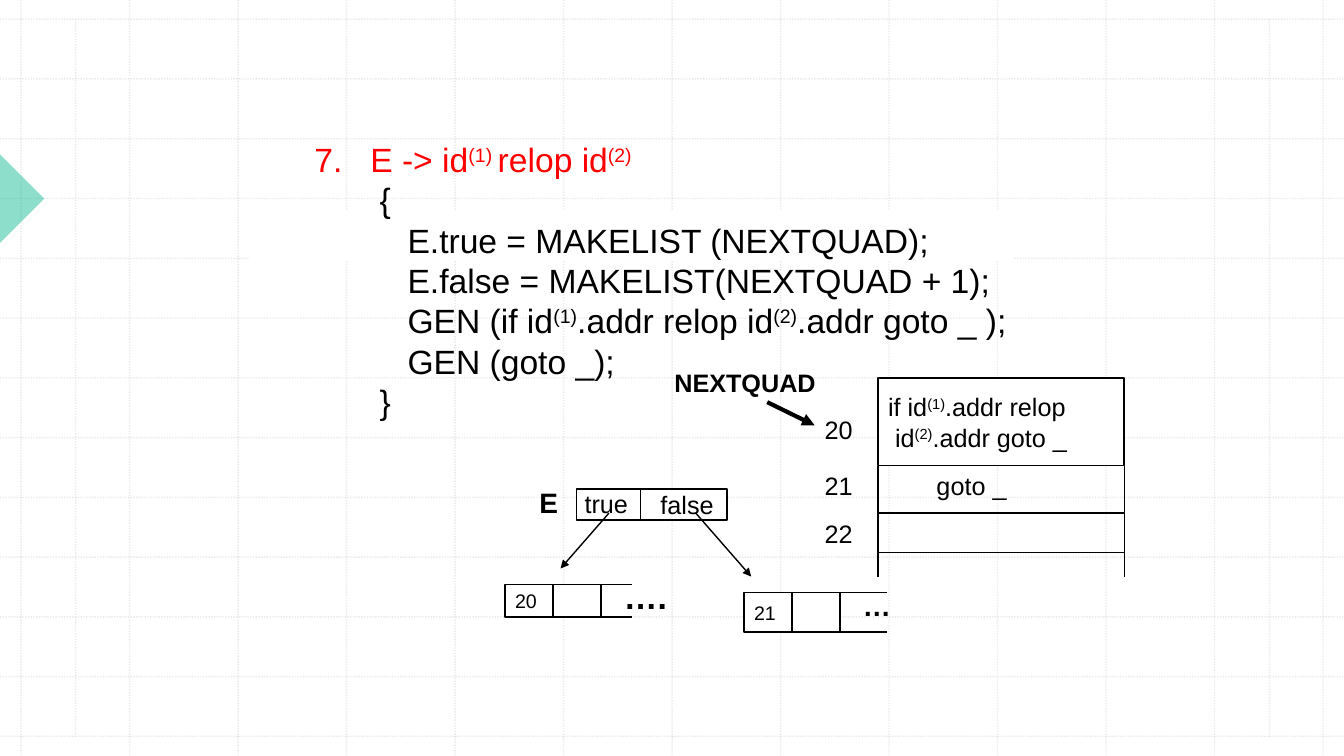
from dataclasses import dataclass

from lxml import etree
from pptx import Presentation
from pptx.dml.color import RGBColor
from pptx.enum import dml, shapes, text
from pptx.oxml import ns
from pptx.util import Inches, Pt


@dataclass(frozen=True)
class Theme:
    font: str = "Arial"
    ink: RGBColor = RGBColor(0, 0, 0)
    paper: RGBColor = RGBColor(255, 255, 255)
    rule: RGBColor = RGBColor(255, 0, 0)
    grid: RGBColor = RGBColor(0xBC, 0xBC, 0xBC)
    accent: RGBColor = RGBColor(0x1E, 0xBE, 0x9B)
    large: int = 24
    medium: int = 20
    normal: int = 18
    small: int = 14


theme = Theme()


def add_line(start, end, color=theme.ink, width=1, arrow=False):
    line = slide.shapes.add_connector(
        shapes.MSO_CONNECTOR.STRAIGHT, *map(Inches, start + end))
    line.line.color.rgb = color
    line.line.width = Pt(width)
    properties = line._element.spPr
    etree.SubElement(properties, ns.qn("a:effectLst"))
    if arrow:
        tail = etree.SubElement(properties.find(ns.qn("a:ln")), ns.qn("a:tailEnd"))
        tail.set("type", "triangle")
    return line


def write_text(frame, lines, size, bold=False):
    """Fill the frame; parts of a line between carets are superscript."""
    for index, content in enumerate(lines):
        paragraph = frame.paragraphs[0] if index == 0 else frame.add_paragraph()
        paragraph.alignment = text.PP_ALIGN.LEFT
        for position, part in enumerate(content.split("^")):
            if not part:
                continue
            run = paragraph.add_run()
            run.text = part
            run.font.name = theme.font
            run.font.size = Pt(size)
            run.font.bold = bold
            run.font.color.rgb = theme.ink
            if position % 2:
                run.font._element.set("baseline", "30000")


presentation = Presentation()
presentation.slide_width = Inches(13.33)
presentation.slide_height = Inches(7.5)
slide = presentation.slides.add_slide(presentation.slide_layouts[6])

# Background grid and side marker
grid_ends = []
for step in range(13):
    x = 0.21 + step * 1.076
    y = 0.19 + step * 0.593
    grid_ends += [((x, 0), (x, 7.5)), ((0, y), (13.33, y))]
grid_ends += [((x, 0.19), (x, 7.31)) for x in (0.75, 12.59)]
translucent = []
for start, end in grid_ends:
    line = add_line(start, end, theme.grid)
    line.line.dash_style = dml.MSO_LINE.ROUND_DOT
    translucent.append((line, 30))

marker = slide.shapes.add_shape(
    shapes.MSO_SHAPE.RIGHT_TRIANGLE,
    Inches(-0.31), Inches(1.66), Inches(0.62), Inches(0.62))
marker.rotation = 225
marker.shadow.inherit = False
marker.fill.solid()
marker.fill.fore_color.rgb = theme.accent
marker.line.fill.background()
translucent.append((marker, 50))

for shape, opacity in translucent:
    color = next(shape._element.spPr.iter(ns.qn("a:srgbClr")))
    etree.SubElement(color, ns.qn("a:alpha")).set("val", str(opacity * 1000))

# Boxes: left, top, width, height, outline, text inset, size, lines
boxes = [
    (2.49, 2.1, 7.56, 0.47, theme.paper, 0.1, theme.normal, []),
    (5.72, 4.85, 1.49, 0.31, theme.ink, 0.83, theme.normal, ["false"]),
    (5.01, 5.8, 0.95, 0.32, theme.ink, 0.1, theme.small, ["20"]),
    (7.38, 5.88, 0.95, 0.39, theme.ink, 0.1, theme.small, ["21"]),
    (8.71, 3.75, 2.44, 0.87, theme.ink, 0.1, theme.normal,
     ["if id^(1)^.addr relop", " id^(2)^.addr goto _"]),
]
for left, top, width, height, outline, inset, size, lines in boxes:
    box = slide.shapes.add_shape(
        shapes.MSO_SHAPE.RECTANGLE, *map(Inches, (left, top, width, height)))
    box.shadow.inherit = False
    box.fill.solid()
    box.fill.fore_color.rgb = theme.paper
    box.line.color.rgb = outline
    box.line.width = Pt(1)
    frame = box.text_frame
    frame.vertical_anchor = text.MSO_ANCHOR.MIDDLE
    frame.margin_left = Inches(inset)
    frame.margin_right = Inches(0)
    write_text(frame, lines, size)

# Open-ended linked lists: left, top, height, length of the open end
for left, top, height, tail in [(5.01, 5.8, 0.32, 0.31), (7.38, 5.88, 0.39, 0.47)]:
    add_line((left + 0.475, top), (left + 0.475, top + height))
    for y in (top, top + height):
        add_line((left + 0.95, y), (left + 0.95 + tail, y))

# Divider of the E record and pointers to its lists
add_line((6.35, 4.85), (6.35, 5.17))
add_line((6.04, 5.09), (5.56, 5.64), arrow=True)
add_line((6.9, 5.09), (7.45, 5.72), arrow=True)

# Open quadruple table and its next free row
for y in (5.09, 5.48):
    add_line((8.71, y), (11.15, y))
for x in (8.71, 11.15):
    add_line((x, 5.72), (x, 4.62))
add_line((7.61, 3.99), (8.08, 4.22), width=3, arrow=True)

# Text boxes: left, top, width, height, size, bold, lines
rule_lines = [
    "7.   E -> id^(1) ^relop id^(2)",
    "       {",
    "          E.true = MAKELIST (NEXTQUAD);",
    "          E.false = MAKELIST(NEXTQUAD + 1);",
    "          GEN (if id^(1)^.addr relop id^(2)^.addr goto _ );",
    "          GEN (goto _);",
    "       }",
]
labels = [
    (3.02, 1.33, 7.2, 3.33, theme.large, False, rule_lines),
    (5.25, 4.77, 0.39, 0.43, theme.medium, True, ["E"]),
    (5.7, 4.8, 0.63, 0.4, theme.normal, False, ["true"]),
    (8.08, 4.06, 0.48, 0.4, theme.normal, False, ["20"]),
    (8.08, 4.62, 0.48, 0.4, theme.normal, False, ["21"]),
    (8.08, 5.09, 0.48, 0.4, theme.normal, False, ["22"]),
    (9.19, 4.62, 0.9, 0.4, theme.normal, False, ["goto _"]),
    (6.59, 3.59, 1.6, 0.4, theme.normal, True, ["NEXTQUAD"]),
    (6.09, 5.66, 0.63, 0.5, theme.large, True, ["…."]),
    (8.46, 5.79, 0.48, 0.43, theme.medium, True, ["…"]),
]
for left, top, width, height, size, bold, lines in labels:
    label = slide.shapes.add_textbox(*map(Inches, (left, top, width, height)))
    frame = label.text_frame
    frame.word_wrap = False
    frame.auto_size = text.MSO_AUTO_SIZE.SHAPE_TO_FIT_TEXT
    write_text(frame, lines, size, bold)
    if lines is rule_lines:
        for run in frame.paragraphs[0].runs:
            run.font.color.rgb = theme.rule

presentation.save("out.pptx")
